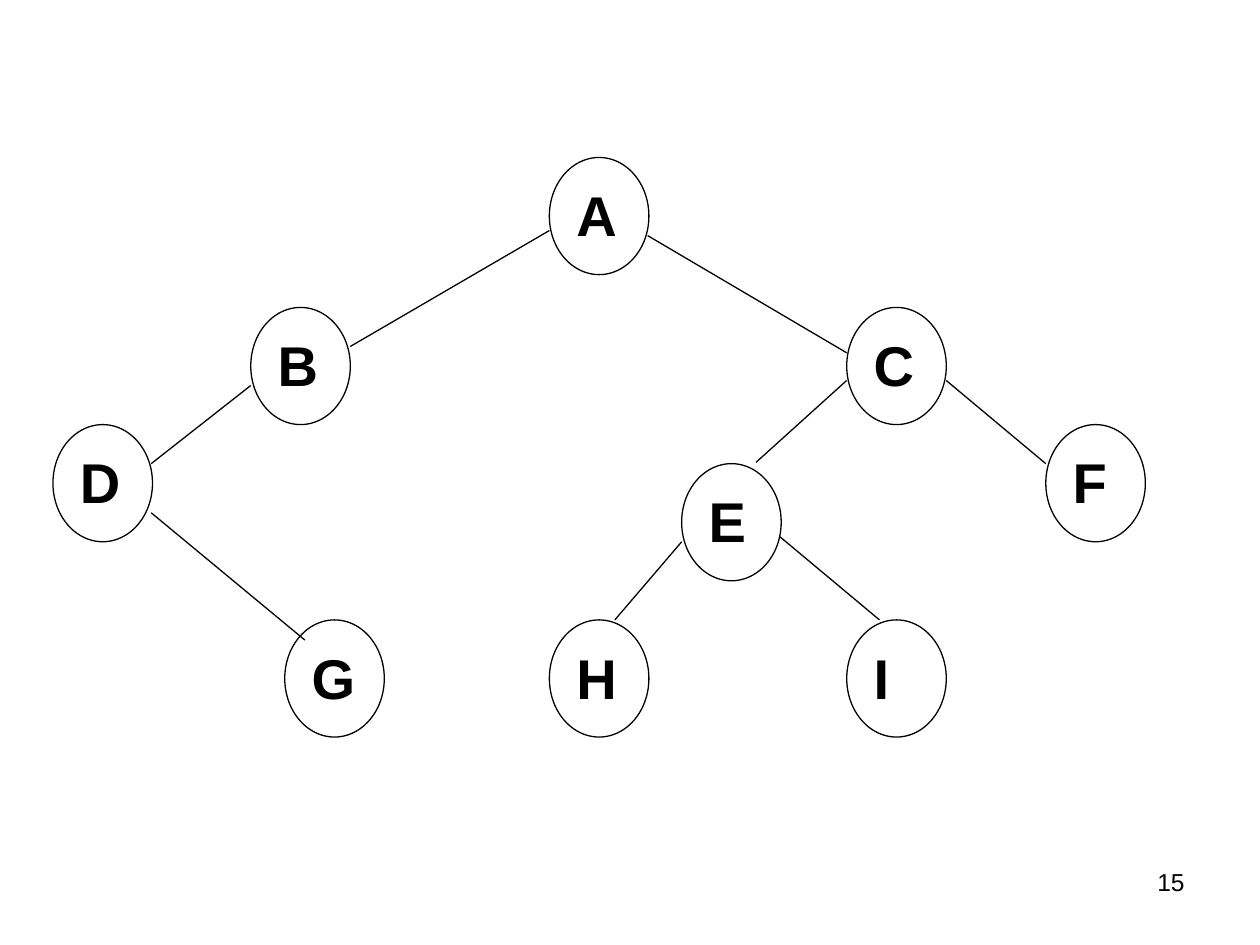
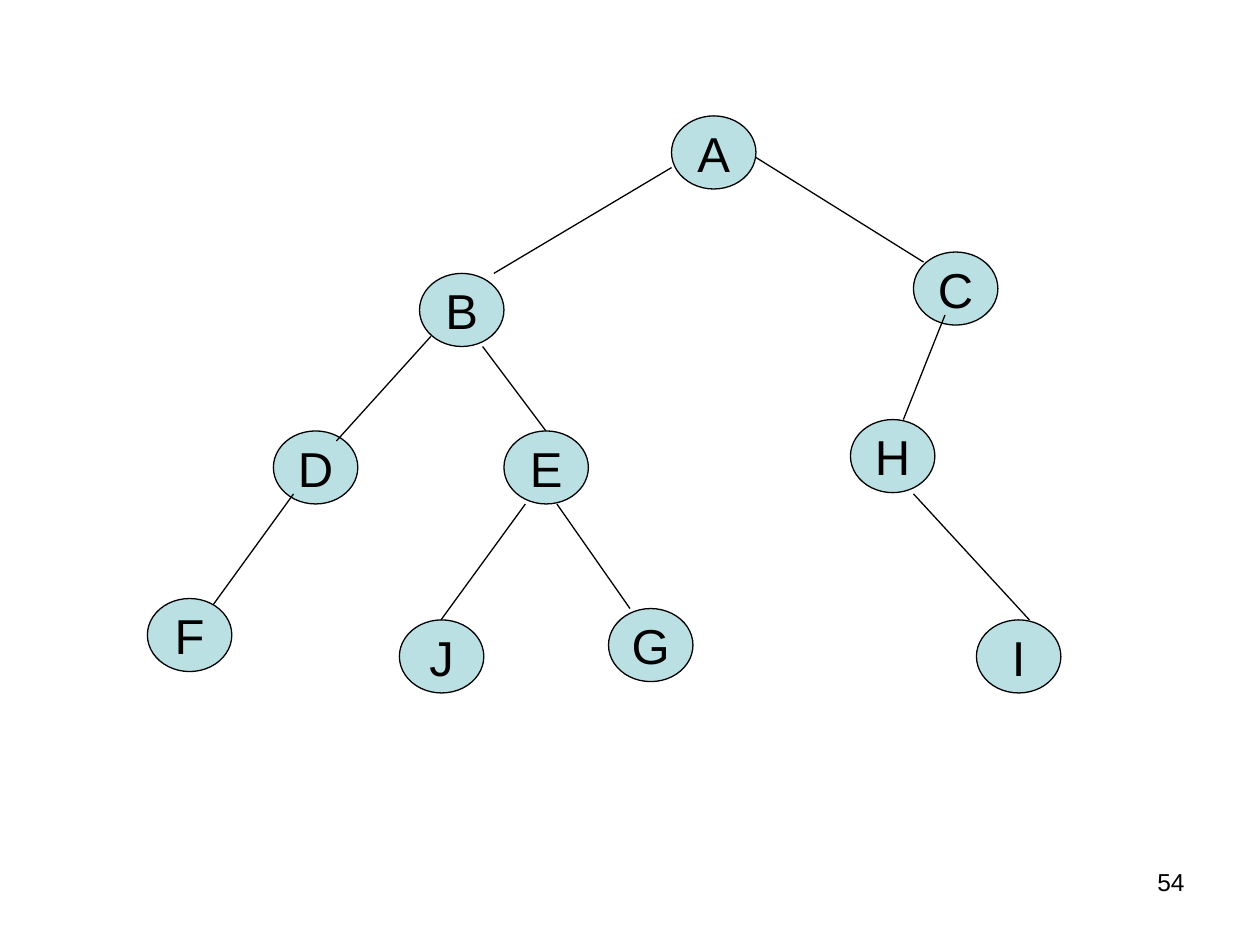
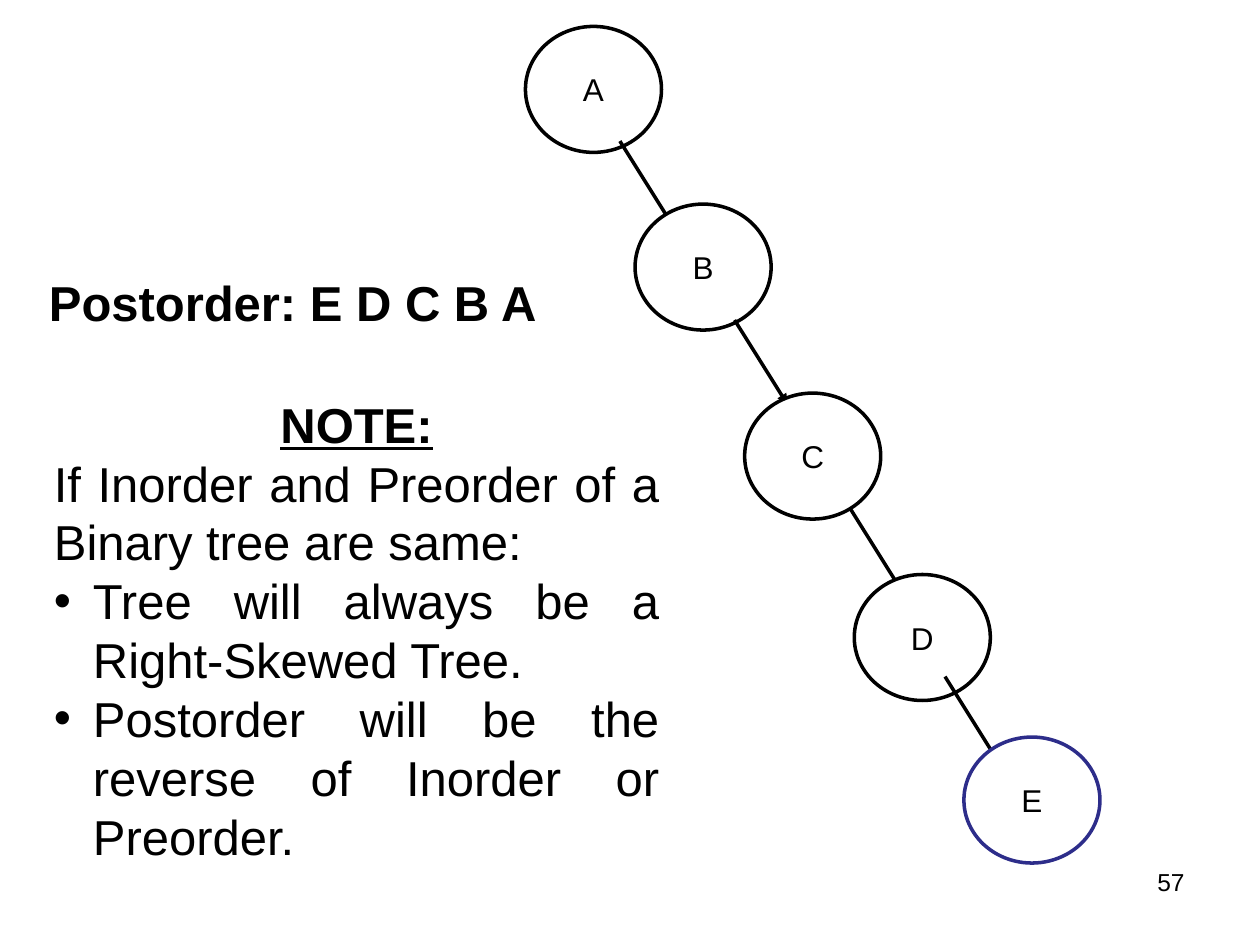
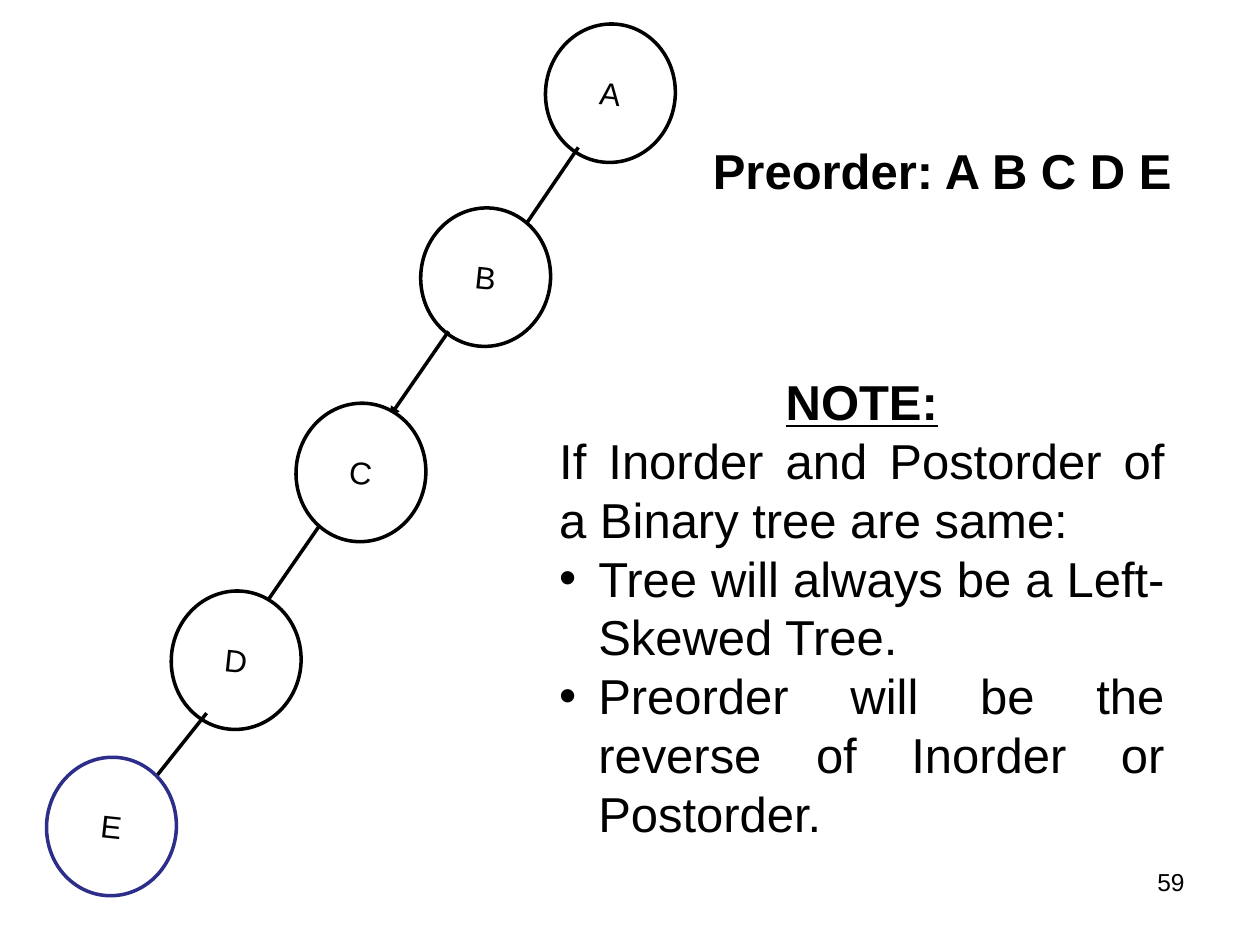
from lxml.etree import SubElement
from pptx import Presentation
from pptx.dml.color import RGBColor
from pptx.enum.shapes import MSO_CONNECTOR, MSO_SHAPE
from pptx.enum.text import MSO_ANCHOR, MSO_AUTO_SIZE, PP_ALIGN
from pptx.oxml.ns import qn
from pptx.util import Pt

EMU_PER_PX = 9144
FONT = "Arial"
COLORS = {"ink": "000000", "paper": "FFFFFF", "teal": "BBE0E3", "navy": "2D2D8A"}
BULLET_INDENT = 31

BOLD_NODE = dict(
    size=(79, 93), fill="paper",
    text=dict(points=32, bold=True), anchor=MSO_ANCHOR.TOP,
)
TEAL_NODE = dict(
    size=(67, 58), fill="teal", wrap=False,
    text=dict(points=28, align=PP_ALIGN.CENTER),
)
SKEWED_NODE = dict(
    fill="paper", line_width=2,
    text=dict(points=18, align=PP_ALIGN.CENTER),
)


def px(length):
    return length * EMU_PER_PX


def color(name):
    return RGBColor.from_string(COLORS[name])


def write_text(paragraph, text, points=28, bold=False, underline=False,
               align=PP_ALIGN.LEFT, bullet=False):
    if bullet:
        properties = paragraph._p.get_or_add_pPr()
        properties.set("marL", str(px(BULLET_INDENT)))
        properties.set("indent", str(-px(BULLET_INDENT)))
        SubElement(properties, qn("a:buFont"), typeface=FONT)
        SubElement(properties, qn("a:buChar"), char="•")
    paragraph.alignment = align
    run = paragraph.add_run()
    run.text = text
    run.font.name = FONT
    run.font.size = Pt(points)
    run.font.bold = bold
    run.font.underline = underline
    run.font.color.rgb = color("ink")


def add_text_box(slide, box, lines, grow=True):
    frame = slide.shapes.add_textbox(*map(px, box)).text_frame
    frame.word_wrap = True
    if grow:
        frame.auto_size = MSO_AUTO_SIZE.SHAPE_TO_FIT_TEXT
    for index, (text, text_format) in enumerate(lines):
        paragraph = frame.add_paragraph() if index else frame.paragraphs[0]
        write_text(paragraph, text, **text_format)


def add_node(slide, label, left, top, size, fill, text, line="ink", line_width=0.75,
             anchor=MSO_ANCHOR.MIDDLE, wrap=True, rotation=0):
    shape = slide.shapes.add_shape(MSO_SHAPE.OVAL, *map(px, (left, top, *size)))
    shape.shadow.inherit = False
    shape.rotation = rotation
    shape.fill.solid()
    shape.fill.fore_color.rgb = color(fill)
    shape.line.color.rgb = color(line)
    shape.line.width = Pt(line_width)
    frame = shape.text_frame
    frame.vertical_anchor = anchor
    frame.word_wrap = wrap
    write_text(frame.paragraphs[0], label, **text)


def add_edge(slide, ends, width=0.75, arrow=False):
    connector = slide.shapes.add_connector(MSO_CONNECTOR.STRAIGHT, *map(px, ends))
    connector.line.color.rgb = color("ink")
    connector.line.width = Pt(width)
    properties = connector._element.spPr
    if arrow:
        SubElement(properties.get_or_add_ln(), qn("a:tailEnd"), type="triangle")
    SubElement(properties, qn("a:effectLst"))


def add_tree(slide, style, nodes, edges, covering_nodes=()):
    for node in nodes:
        add_node(slide, *node, **style)
    for ends in edges:
        add_edge(slide, ends)
    for node in covering_nodes:
        add_node(slide, *node, **style)


def add_skewed_tree(slide, first_left, step, tops, arrows, size, rotation=0):
    for index, (label, top) in enumerate(zip("ABCDE", tops)):
        if index:
            add_edge(slide, arrows[index - 1], width=2, arrow=True)
        add_node(slide, label, first_left + index * step, top, size=size,
                 rotation=rotation, line="navy" if label == "E" else "ink",
                 **SKEWED_NODE)


def add_traversal(slide, left, top, text):
    add_text_box(slide, (left, top, 433, 57), [(text, dict(bold=True))])


def add_note(slide, left, top, condition, conclusions):
    justified = dict(align=PP_ALIGN.JUSTIFY)
    heading = dict(bold=True, underline=True, align=PP_ALIGN.CENTER)
    lines = [("NOTE:", heading), (condition, justified)]
    lines += [(text, dict(justified, bullet=True)) for text in conclusions]
    add_text_box(slide, (left, top, 500, 387), lines)


def add_numbered_slide(presentation, number):
    slide = presentation.slides.add_slide(presentation.slide_layouts[6])
    slide.background.fill.solid()
    slide.background.fill.fore_color.rgb = color("paper")
    number_format = dict(points=14, align=PP_ALIGN.RIGHT)
    add_text_box(slide, (717, 683, 233, 52), [(str(number), number_format)], grow=False)
    return slide


def build_bold_tree(presentation):
    slide = add_numbered_slide(presentation, 15)
    nodes = [
        ("A", 436, 125), ("I", 672, 492), ("H", 436, 492),
        ("F", 830, 337), ("E", 541, 368), ("C", 672, 244),
        ("G", 226, 492), ("D", 42, 337), ("B", 199, 244),
    ]
    edges = [
        (436, 183, 278, 275), (199, 306, 120, 368), (120, 407, 242, 508),
        (514, 187, 672, 280), (751, 302, 830, 368), (672, 302, 600, 367),
        (619, 426, 698, 492), (541, 430, 488, 492),
    ]
    add_tree(slide, BOLD_NODE, nodes, edges)


def build_teal_tree(presentation):
    slide = add_numbered_slide(presentation, 54)
    upper_nodes = [
        ("A", 533, 92), ("C", 725, 200), ("B", 333, 217),
        ("H", 675, 333), ("D", 217, 342),
    ]
    edges = [
        (533, 133, 392, 217), (342, 267, 267, 350), (383, 275, 458, 375),
        (600, 125, 733, 208), (750, 250, 717, 333), (725, 392, 817, 492),
        (233, 392, 167, 483), (417, 400, 350, 492), (442, 400, 500, 483),
    ]
    lower_nodes = [
        ("I", 775, 492), ("F", 117, 475), ("G", 483, 483),
        ("E", 400, 342), ("J", 317, 492),
    ]
    add_tree(slide, TEAL_NODE, upper_nodes, edges, lower_nodes)


def build_right_skewed_tree(presentation):
    slide = add_numbered_slide(presentation, 57)
    arrow_starts = [(492, 112), (583, 254), (675, 404), (750, 537)]
    add_skewed_tree(
        slide, first_left=417, step=87, tops=[21, 162, 312, 456, 585],
        arrows=[(x, y, x + 42, y + 67) for x, y in arrow_starts],
        size=(108, 100),
    )
    add_traversal(slide, 29, 211, "Postorder: E D C B A")
    add_note(
        slide, 33, 308, "If Inorder and Preorder of a Binary tree are same:",
        ["Tree will always be a Right-Skewed Tree.",
         "Postorder will be the reverse of Inorder or Preorder."],
    )


def build_left_skewed_tree(presentation):
    slide = add_numbered_slide(presentation, 59)
    add_skewed_tree(
        slide, first_left=433, step=-99, tops=[19, 165, 320, 469, 601],
        arrows=[(459, 117, 412, 186), (356, 263, 309, 331),
                (253, 418, 206, 486), (164, 566, 117, 625)],
        size=(103, 110), rotation=6.1,
    )
    add_traversal(slide, 556, 107, "Preorder: A B C D E")
    add_note(
        slide, 434, 290, "If Inorder and Postorder of a Binary tree are same:",
        ["Tree will always be a Left-Skewed Tree.",
         "Preorder will be the reverse of Inorder or Postorder."],
    )


def main():
    presentation = Presentation()
    presentation.slide_width = px(1000)
    presentation.slide_height = px(750)
    build_bold_tree(presentation)
    build_teal_tree(presentation)
    build_right_skewed_tree(presentation)
    build_left_skewed_tree(presentation)
    presentation.save("out.pptx")


if __name__ == "__main__":
    main()
